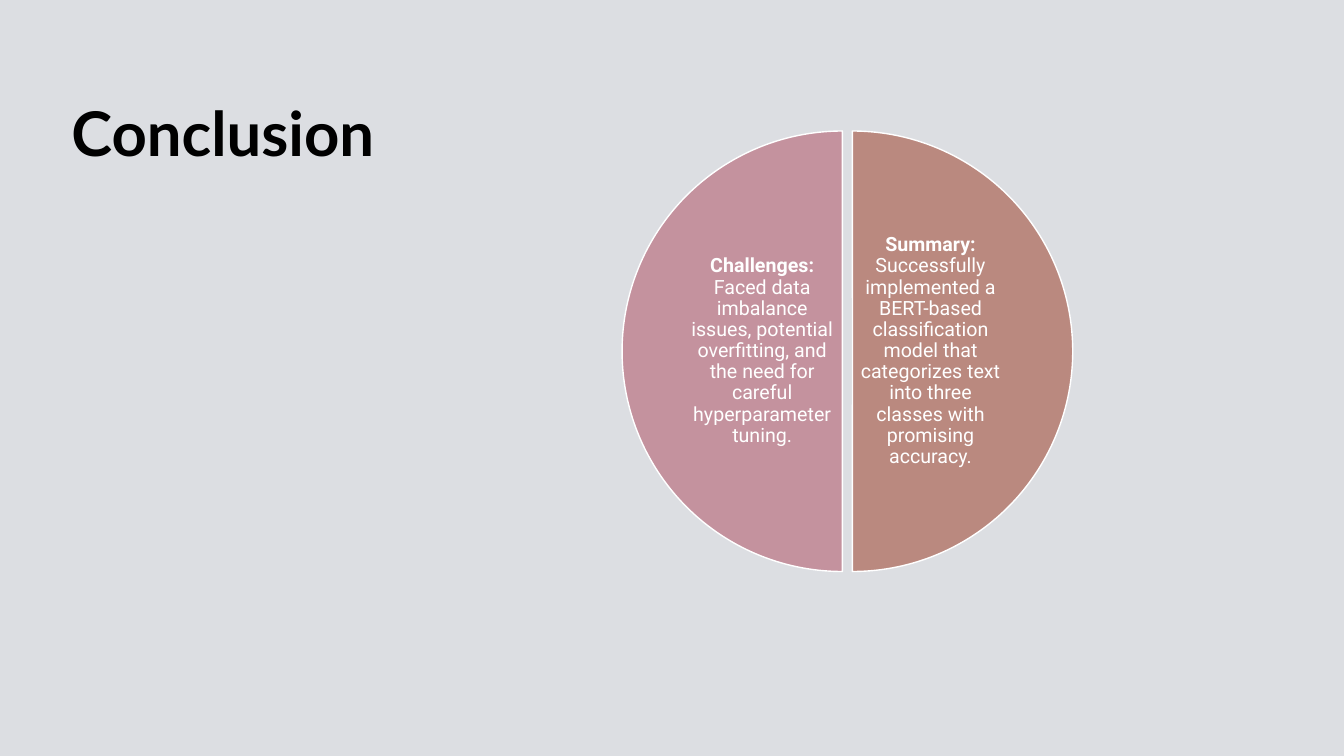
from dataclasses import dataclass

from lxml import etree
from pptx import Presentation
from pptx.dml.color import RGBColor
from pptx.enum.shapes import MSO_SHAPE
from pptx.enum.text import MSO_ANCHOR, PP_ALIGN
from pptx.oxml.ns import qn
from pptx.util import Inches, Pt

RECTANGLE, PIE = MSO_SHAPE.RECTANGLE, MSO_SHAPE.PIE
TOP, MIDDLE = MSO_ANCHOR.TOP, MSO_ANCHOR.MIDDLE
LEFT, CENTER = PP_ALIGN.LEFT, PP_ALIGN.CENTER

BACKDROP = RGBColor(0xE2, 0xE4, 0xE8)
WASH_GREY = RGBColor(0xAE, 0xAE, 0xAE)
BLACK = RGBColor(0, 0, 0)
WHITE = RGBColor(0xFF, 0xFF, 0xFF)
CLAY = RGBColor(0xBA, 0x89, 0x7F)
ROSE = RGBColor(0xC4, 0x92, 0x9E)

# Grid: one column or row is a hundredth of an inch
GRID = Inches(0.01)
COLUMNS, ROWS = 1333, 750

DIAMETER, CIRCLE_TOP = 437, 130
LABEL_WIDTH, LABEL_HEIGHT = 154, 307
LABEL_TOP = CIRCLE_TOP + (DIAMETER - LABEL_HEIGHT) / 2
UP, DOWN = 162, 54  # pie angles of 270 and 90 degrees


@dataclass(frozen=True)
class Half:
    heading: str
    body: str
    circle_left: int
    label_left: int
    start: int
    end: int
    color: RGBColor


HALVES = (
    Half("Summary:",
         " Successfully implemented a BERT-based classification model that "
         "categorizes text into three classes with promising accuracy.",
         627, 846, UP, DOWN, CLAY),
    Half("Challenges:",
         " Faced data imbalance issues, potential overfitting, and the need "
         "for careful hyperparameter tuning.",
         617, 679, DOWN, UP, ROSE),
)


def place(left: float, top: float, width: float, height: float) -> list[int]:
    return [round(cells * GRID) for cells in (left, top, width, height)]


def add_filled(slide, kind, box: list[int], color: RGBColor):
    shape = slide.shapes.add_shape(kind, *box)
    shape.shadow.inherit = False
    shape.fill.solid()
    shape.fill.fore_color.rgb = color
    return shape


def add_text(slide, box: list[int], bold: str, regular: str = "", *, font: str,
             size: int, color: RGBColor, align=LEFT, anchor=TOP,
             spacing: float = 1.0, inset: float | None = None) -> None:
    frame = slide.shapes.add_textbox(*box).text_frame
    frame.word_wrap = True
    frame.vertical_anchor = anchor
    if inset is not None:
        frame.margin_left = frame.margin_right = Inches(inset)
        frame.margin_top = frame.margin_bottom = Inches(inset)
    paragraph = frame.paragraphs[0]
    paragraph.alignment = align
    paragraph.line_spacing = spacing
    for words, is_bold in ((bold, True), (regular, False)):
        if words:
            run = paragraph.add_run()
            run.text = words
            run.font.name = font
            run.font.size = Pt(size)
            run.font.bold = is_bold
            run.font.color.rgb = color


def add_wash(slide) -> None:
    wash = add_filled(slide, RECTANGLE, place(0, 0, COLUMNS, ROWS), WASH_GREY)
    wash.line.fill.background()
    tint = wash.fill._xPr.find(qn("a:solidFill"))[0]
    etree.SubElement(tint, qn("a:alpha"), val="10000")


def add_half(slide, half: Half) -> None:
    box = place(half.circle_left, CIRCLE_TOP, DIAMETER, DIAMETER)
    pie = add_filled(slide, PIE, box, half.color)
    pie.adjustments[0] = half.start
    pie.adjustments[1] = half.end
    pie.line.color.rgb = WHITE
    pie.line.width = Pt(1)
    add_text(slide, place(half.label_left, LABEL_TOP, LABEL_WIDTH, LABEL_HEIGHT),
             half.heading, half.body, font="Roboto", size=14, color=WHITE,
             align=CENTER, anchor=MIDDLE, spacing=0.9, inset=0.02)


def main() -> None:
    deck = Presentation()
    deck.slide_width, deck.slide_height = COLUMNS * GRID, ROWS * GRID
    slide = deck.slides.add_slide(deck.slide_layouts[6])

    # Backdrop
    slide.background.fill.solid()
    slide.background.fill.fore_color.rgb = BACKDROP
    add_wash(slide)

    # Title
    add_text(slide, place(61, 89, 405, 592), "Conclusion",
             font="Lato", size=44, color=BLACK)

    # Split circle
    for half in HALVES:
        add_half(slide, half)

    deck.save("out.pptx")


if __name__ == "__main__":
    main()
